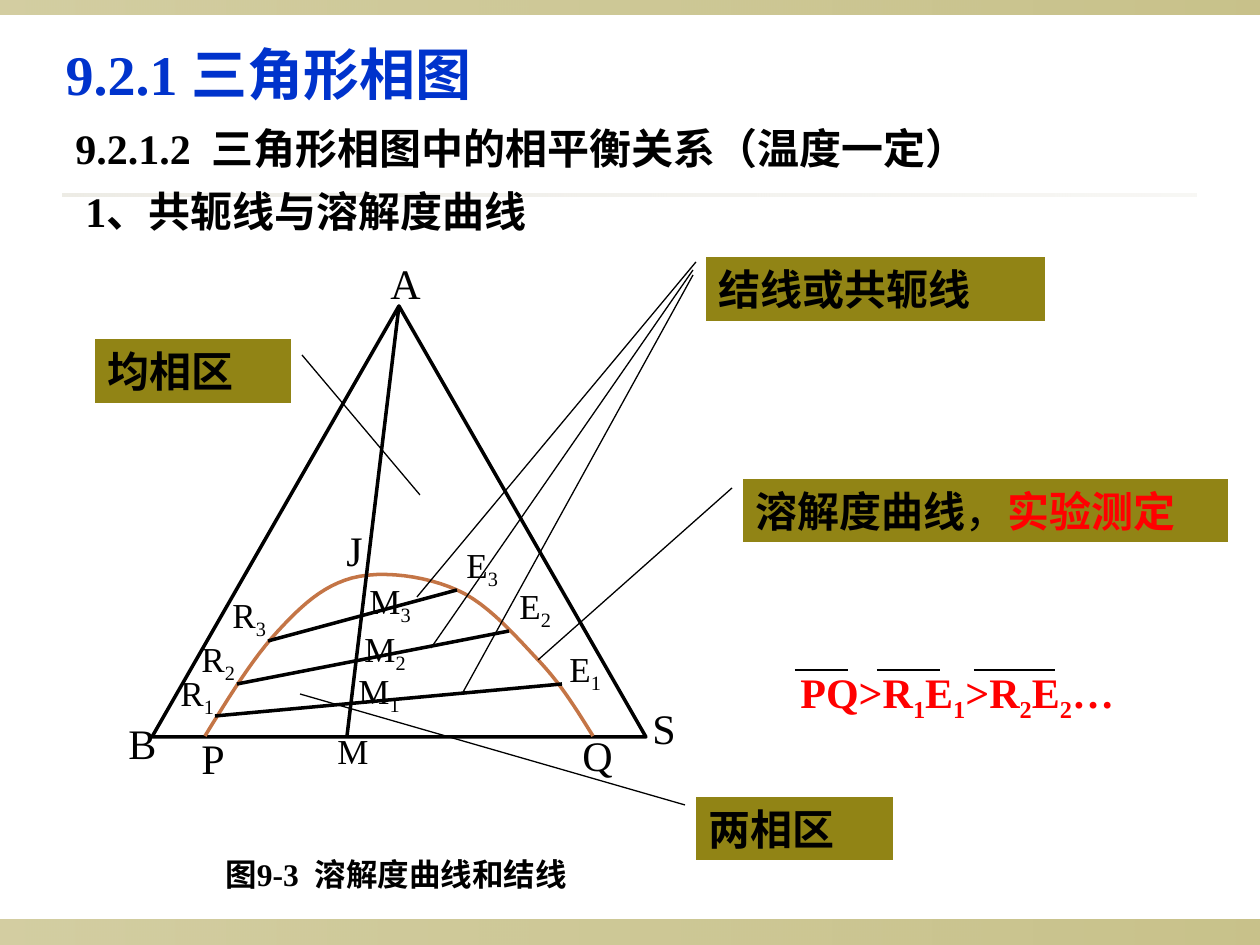
from dataclasses import dataclass

from pptx import Presentation
from pptx.dml.color import RGBColor
from pptx.enum.shapes import MSO_CONNECTOR, MSO_SHAPE
from pptx.enum.text import MSO_ANCHOR, MSO_AUTO_SIZE, PP_ALIGN
from pptx.oxml.ns import qn
from pptx.util import Emu, Pt
from lxml.etree import SubElement


@dataclass(frozen=True)
class Theme:
    font: str = "Times New Roman"
    ink: str = "000000"
    title: str = "0033CC"
    accent: str = "FF0000"
    olive: str = "918415"
    rule: str = "DCD9CC"
    curve: str = "C47546"
    title_size: int = 32
    body_size: int = 24
    point_size: int = 20
    caption_size: int = 18
    thick: float = 2
    thin: float = 0.75


THEME = Theme()
EMU_PER_PX = 914400 / 126

# Boxes are (left, top, width, height) in px.
BANDS = [
    ((0, 920, 1260, 25), THEME.olive, (40, 50)),
    ((0, 0, 1260, 15), THEME.olive, (40, 50)),
    ((63, 194, 1134, 3), THEME.rule, (50, 20)),
]
TITLE = ("9.2.1 三角形相图", (53, 16, 546, 97))
# An underscore makes the next character a subscript.
TEXTS = [
    ("9.2.1.2  三角形相图中的相平衡关系（温度一定）", (63, 116, 1061, 63), THEME.body_size, THEME.ink),
    ("1、共轭线与溶解度曲线", (73, 179, 557, 63), THEME.body_size, THEME.ink),
    ("PQ>R_1E_1>R_2E_2…", (788, 660, 420, 71), THEME.body_size, THEME.accent),
    ("图9-3  溶解度曲线和结线", (213, 849, 397, 50), THEME.caption_size, THEME.ink),
]
CORNER_LABELS = [("A", 378, 251), ("B", 116, 711), ("S", 640, 696),
                 ("P", 189, 726), ("Q", 570, 723), ("J", 334, 518)]
POINT_LABELS = [("M", 325, 723),
                ("R_1", 168, 665), ("R_2", 189, 631), ("R_3", 220, 587),
                ("E_1", 557, 641), ("E_2", 507, 578), ("E_3", 454, 537),
                ("M_1", 346, 663), ("M_2", 352, 621), ("M_3", 357, 573)]
LABEL_SIZE = (100, 62)

TRIANGLE = (152, 306, 494, 431)
SOLUBILITY_START = (205, 736)
SOLUBILITY_BEZIERS = [
    ((229, 697), (253, 658), (278, 631)),
    ((302, 605), (323, 586), (352, 578)),
    ((382, 570), (426, 576), (457, 590)),
    ((489, 604), (518, 639), (541, 663)),
    ((563, 687), (578, 712), (593, 736)),
]
THICK_LINES = [
    ((215, 716), (562, 684)),
    ((237, 684), (509, 631)),
    ((268, 641), (457, 590)),
    ((399, 306), (347, 736)),
]
THIN_LINES = [
    ((431, 648), (693, 270)),
    ((462, 694), (693, 275)),
    ((795, 670), (848, 670)),
    ((877, 670), (940, 670)),
    ((974, 670), (1055, 670)),
]
# Runs are (text, colour, bold); the leader goes from start to target.
CALLOUTS = [
    ([("溶解度曲线", THEME.ink, True), ("，", THEME.ink, False), ("实验测定", THEME.accent, True)],
     (743, 479, 485, 63), (732, 488), (538, 660)),
    ([("结线或共轭线", THEME.ink, True)], (706, 257, 339, 64), (696, 262), (417, 597)),
    ([("均相区", THEME.ink, True)], (95, 339, 196, 64), (302, 355), (420, 495)),
    ([("两相区", THEME.ink, True)], (696, 797, 197, 63), (685, 805), (300, 694)),
]


def px(*values):
    return [Emu(round(value * EMU_PER_PX)) for value in values]


def color(value):
    return RGBColor.from_string(value)


def style_font(font, size, ink, bold):
    font.name = THEME.font
    font.size = Pt(size)
    font.color.rgb = color(ink)
    font.bold = bold


def style_line(line, ink, width):
    line.color.rgb = color(ink)
    line.width = Pt(width)


def add_band(shapes, box, fill, alphas):
    """Add a borderless bar whose opacity fades from left to right."""
    band = shapes.add_shape(MSO_SHAPE.RECTANGLE, *px(*box))
    band.shadow.inherit = False
    band.line.fill.background()
    band.fill.gradient()
    band.fill.gradient_angle = 0
    for stop in band.fill.gradient_stops:
        stop.color.rgb = color(fill)
    for element, alpha in zip(band.element.iter(qn("a:srgbClr")), alphas):
        SubElement(element, qn("a:alpha")).set("val", str(alpha * 1000))


def add_text(shapes, text, box, size, ink=THEME.ink, bold=False):
    frame = shapes.add_textbox(*px(*box)).text_frame
    frame.word_wrap = True
    paragraph = frame.paragraphs[0]
    style_font(paragraph.font, size, ink, bold)
    first, *rest = text.split("_")
    paragraph.add_run().text = first
    for piece in rest:
        subscript = paragraph.add_run()
        subscript.text = piece[0]
        subscript.font._element.set("baseline", "-25000")
        if piece[1:]:
            paragraph.add_run().text = piece[1:]


def add_line(shapes, start, end, width):
    line = shapes.add_connector(MSO_CONNECTOR.STRAIGHT, *px(*start, *end))
    style_line(line.line, THEME.ink, width)
    SubElement(line.element.spPr, qn("a:effectLst"))


def bezier_points(start, beziers, steps=12):
    points = []
    for first, second, end in beziers:
        for step in range(1, steps + 1):
            t = step / steps
            weights = ((1 - t) ** 3, 3 * t * (1 - t) ** 2, 3 * t * t * (1 - t), t ** 3)
            knots = (start, first, second, end)
            points.append(tuple(round(sum(w * knot[axis] for w, knot in zip(weights, knots))
                                      * EMU_PER_PX) for axis in (0, 1)))
        start = end
    return points


def add_curve(shapes):
    builder = shapes.build_freeform(*px(*SOLUBILITY_START))
    builder.add_line_segments(bezier_points(SOLUBILITY_START, SOLUBILITY_BEZIERS), close=False)
    curve = builder.convert_to_shape()
    curve.shadow.inherit = False
    curve.fill.background()
    style_line(curve.line, THEME.curve, THEME.thick)


def add_callout(shapes, runs, box, start, target):
    left, top, width, height = box
    callout = shapes.add_shape(MSO_SHAPE.LINE_CALLOUT_1_NO_BORDER, *px(*box))
    callout.shadow.inherit = False
    callout.fill.solid()
    callout.fill.fore_color.rgb = color(THEME.olive)
    style_line(callout.line, THEME.ink, THEME.thin)
    for index, (x, y) in enumerate((start, target)):
        callout.adjustments[2 * index] = (y - top) / height
        callout.adjustments[2 * index + 1] = (x - left) / width
    frame = callout.text_frame
    frame.word_wrap = True
    frame.vertical_anchor = MSO_ANCHOR.TOP
    paragraph = frame.paragraphs[0]
    paragraph.alignment = PP_ALIGN.LEFT
    for text, ink, bold in runs:
        run = paragraph.add_run()
        run.text = text
        style_font(run.font, THEME.body_size, ink, bold)


def set_title(title):
    text, box = TITLE
    title.left, title.top, title.width, title.height = px(*box)
    frame = title.text_frame
    frame.text = text
    frame.word_wrap = True
    frame.auto_size = MSO_AUTO_SIZE.NONE
    frame.vertical_anchor = MSO_ANCHOR.TOP
    paragraph = frame.paragraphs[0]
    paragraph.alignment = PP_ALIGN.LEFT
    paragraph.line_spacing = 1.25
    style_font(paragraph.font, THEME.title_size, THEME.title, True)


def main():
    presentation = Presentation()
    presentation.slide_width, presentation.slide_height = px(1260, 945)
    slide = presentation.slides.add_slide(presentation.slide_layouts[5])
    shapes = slide.shapes
    set_title(shapes.title)
    for band in BANDS:
        add_band(shapes, *band)

    triangle = shapes.add_shape(MSO_SHAPE.ISOSCELES_TRIANGLE, *px(*TRIANGLE))
    triangle.shadow.inherit = False
    triangle.fill.background()
    style_line(triangle.line, THEME.ink, THEME.thick)
    add_curve(shapes)
    for lines, width in ((THICK_LINES, THEME.thick), (THIN_LINES, THEME.thin)):
        for start, end in lines:
            add_line(shapes, start, end, width)

    for labels, size in ((CORNER_LABELS, THEME.body_size), (POINT_LABELS, THEME.point_size)):
        for text, left, top in labels:
            add_text(shapes, text, (left, top, *LABEL_SIZE), size)
    for callout in CALLOUTS:
        add_callout(shapes, *callout)
    for text in TEXTS:
        add_text(shapes, *text, bold=True)
    presentation.save("out.pptx")


if __name__ == "__main__":
    main()
